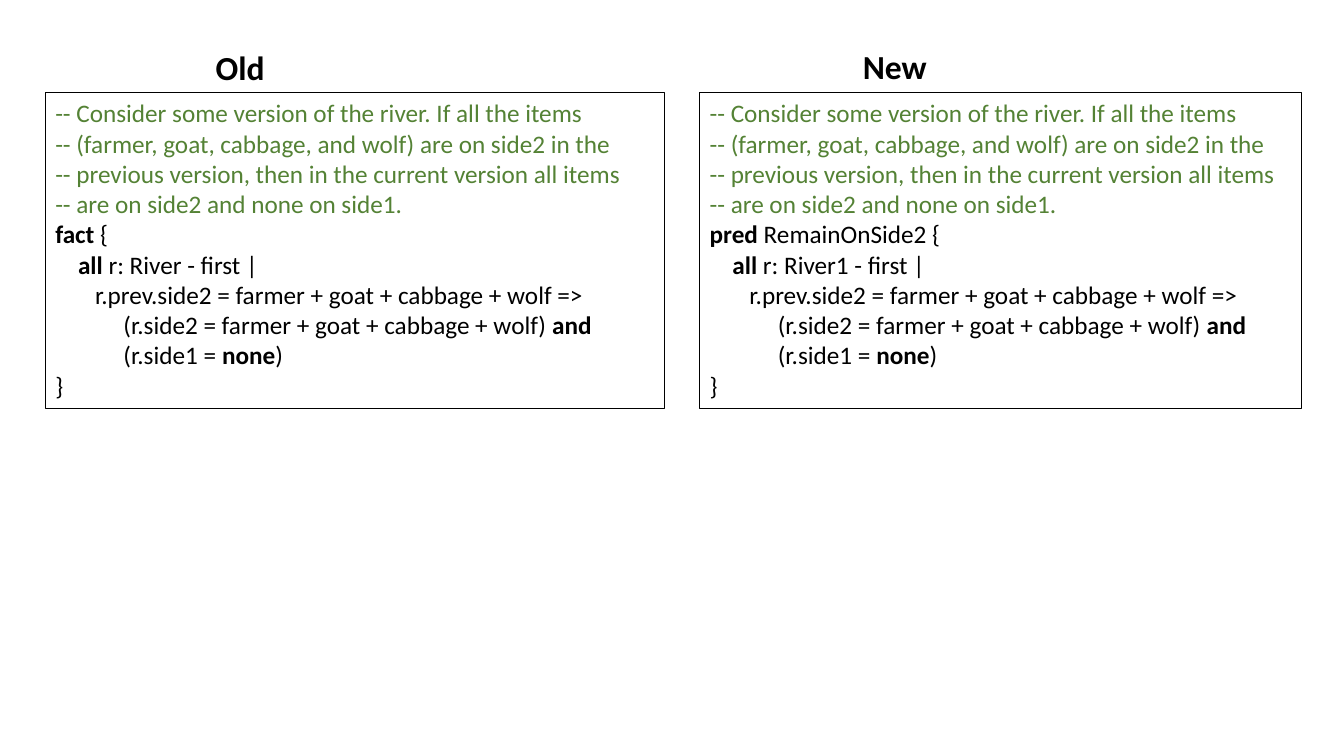
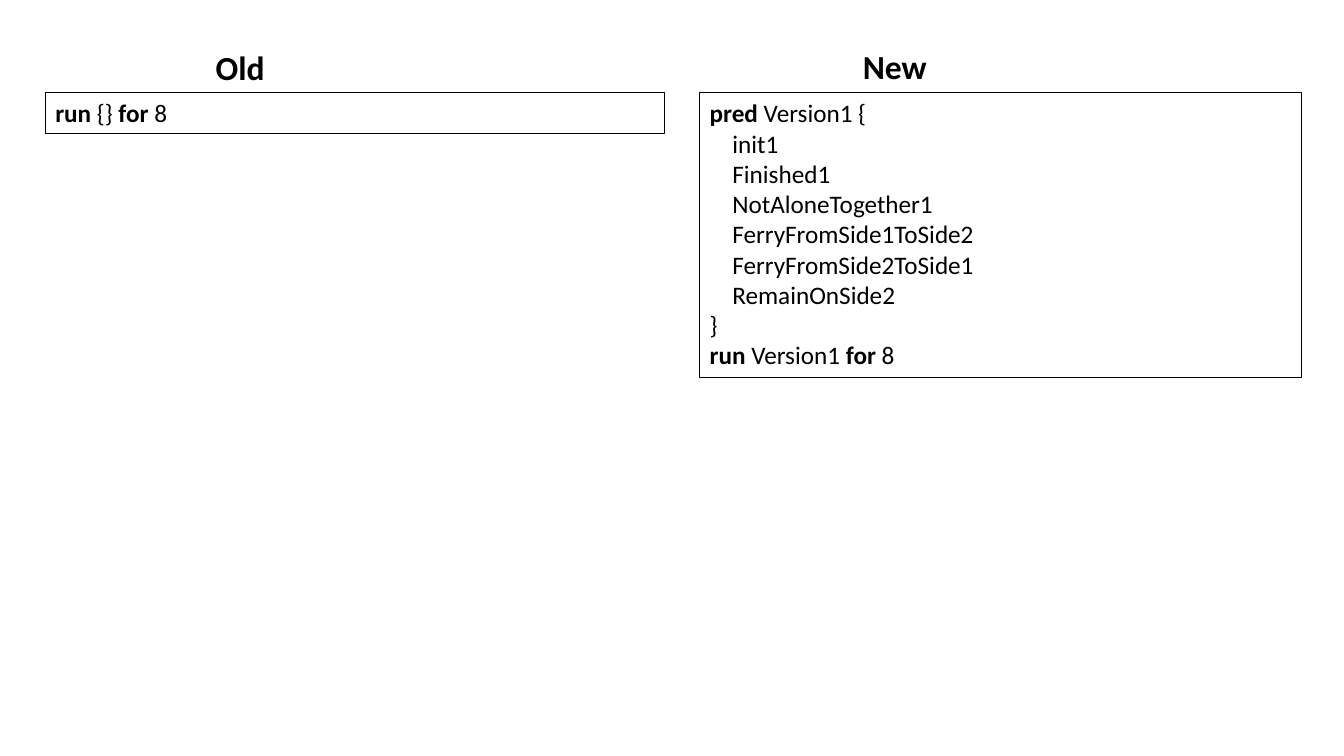
from pptx import Presentation
from pptx.dml.color import RGBColor
from pptx.enum.text import MSO_AUTO_SIZE as AutoSize
from pptx.util import Inches, Pt

FONT = "Calibri"
BLACK = "000000"
COMMENT_GREEN = "548235"
CODE_TOP = 0.92
LINE_HEIGHT = 0.303
CODE_PADDING = 0.1

# Heading: text, left, top, width. Code box: left, width.
OLD_COLUMN = (("Old", 2.04, 0.42, 0.69), (0.45, 6.14))
NEW_COLUMN = (("New", 8.46, 0.41, 0.84), (6.94, 5.97))

# Keywords between asterisks are bold.
REMAIN_RULE = """\
-- Consider some version of the river. If all the items
-- (farmer, goat, cabbage, and wolf) are on side2 in the
-- previous version, then in the current version all items
-- are on side2 and none on side1.
{header} {{
    *all* r: {river} - first |
       r.prev.side2 = farmer + goat + cabbage + wolf =>
            (r.side2 = farmer + goat + cabbage + wolf) *and*
            (r.side1 = *none*)
}}"""

RUN_OLD = "*run* {} *for* 8"
RUN_NEW = """\
*pred* Version1 {
    init1
    Finished1
    NotAloneTogether1
    FerryFromSide1ToSide2
    FerryFromSide2ToSide1
    RemainOnSide2
}
*run* Version1 *for* 8"""

COMPARISONS = [
    (REMAIN_RULE.format(header="*fact*", river="River"),
     REMAIN_RULE.format(header="*pred* RemainOnSide2", river="River1")),
    (RUN_OLD, RUN_NEW),
]


def rgb(value):
    return RGBColor.from_string(value)


def style(run, size, color=BLACK, bold=False):
    run.font.name = FONT
    run.font.size = Pt(size)
    run.font.bold = bold
    run.font.color.rgb = rgb(color)


def add_text_box(slide, left, top, width, height, wrap):
    box = slide.shapes.add_textbox(
        Inches(left), Inches(top), Inches(width), Inches(height))
    box.text_frame.word_wrap = wrap
    box.text_frame.auto_size = AutoSize.SHAPE_TO_FIT_TEXT
    return box


def add_heading(slide, text, left, top, width):
    heading = add_text_box(slide, left, top, width, 0.5, wrap=False)
    heading.text_frame.text = text
    style(heading.text_frame.paragraphs[0].runs[0], 24, bold=True)


def write_code_line(paragraph, line):
    color = COMMENT_GREEN if line.startswith("--") else BLACK
    for index, part in enumerate(line.split("*")):
        if part:
            run = paragraph.add_run()
            run.text = part
            style(run, 18, color, bold=index % 2 == 1)


def add_code_box(slide, code, left, width):
    lines = code.split("\n")
    height = CODE_PADDING + LINE_HEIGHT * len(lines)
    box = add_text_box(slide, left, CODE_TOP, width, height, wrap=True)
    box.line.color.rgb = rgb(BLACK)
    box.line.width = Pt(0.75)
    frame = box.text_frame
    for index, line in enumerate(lines):
        paragraph = frame.add_paragraph() if index else frame.paragraphs[0]
        write_code_line(paragraph, line)


def add_comparison(deck, old_code, new_code):
    slide = deck.slides.add_slide(deck.slide_layouts[6])
    for column, code in ((OLD_COLUMN, old_code), (NEW_COLUMN, new_code)):
        heading, code_place = column
        add_code_box(slide, code, *code_place)
        add_heading(slide, *heading)


def main():
    deck = Presentation()
    deck.slide_width = Inches(13.33)
    deck.slide_height = Inches(7.5)
    for old_code, new_code in COMPARISONS:
        add_comparison(deck, old_code, new_code)
    deck.save("out.pptx")


if __name__ == "__main__":
    main()
